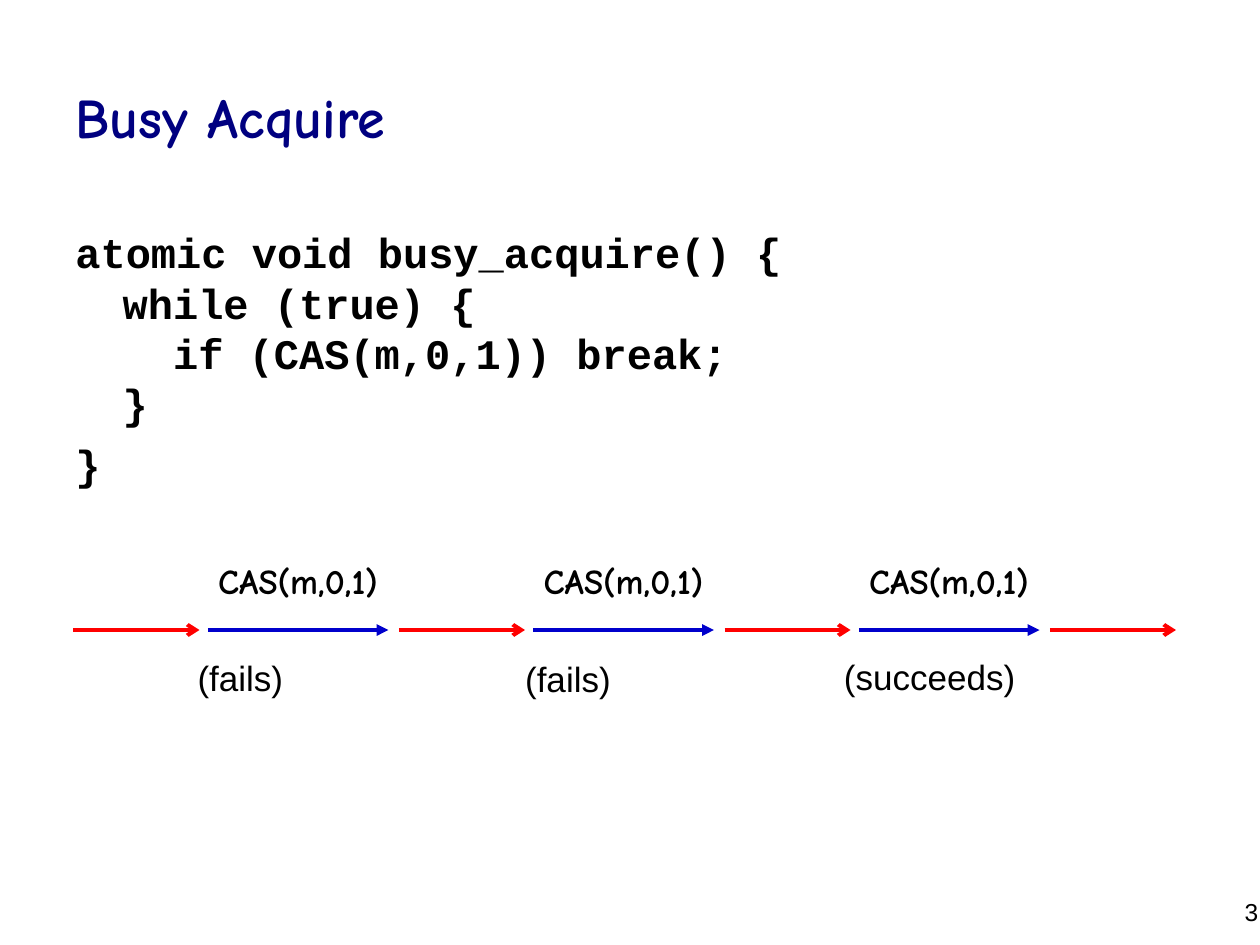
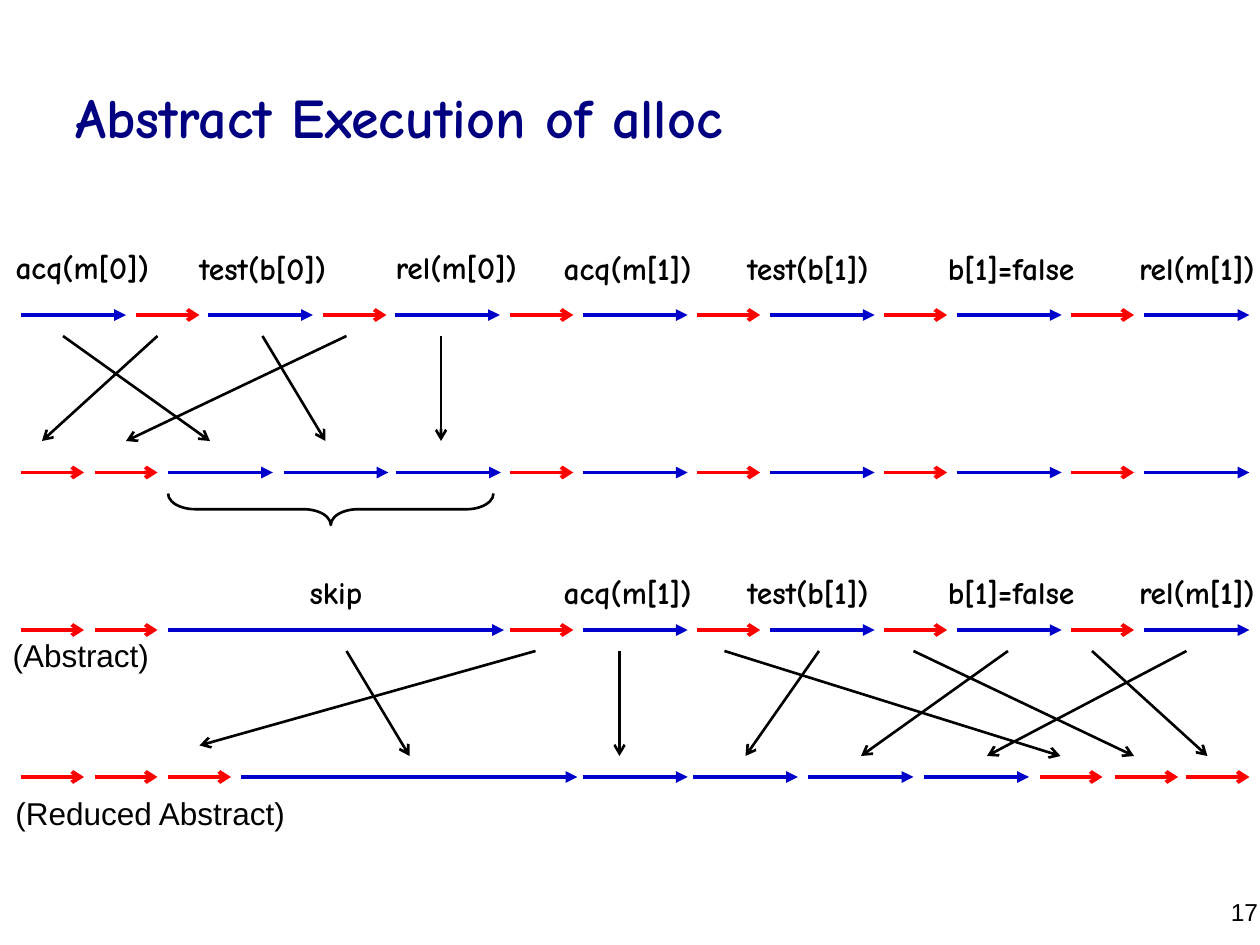
"""Build two slides on busy acquire and the abstract execution of alloc."""
from dataclasses import dataclass

from lxml.etree import SubElement
from pptx import Presentation
from pptx.dml.color import RGBColor
from pptx.enum.shapes import MSO_CONNECTOR, MSO_SHAPE
from pptx.enum.text import MSO_ANCHOR, MSO_AUTO_SIZE, PP_ALIGN
from pptx.oxml.ns import qn
from pptx.util import Pt

SCALE = 7620


@dataclass(frozen=True)
class Theme:
    navy: str = "000080"
    blue: str = "0000CC"
    red: str = "FF0000"
    black: str = "000000"
    comic: str = "Comic Neue"
    plain: str = "Arial"
    mono: str = "Courier New"
    title: int = 32
    code: int = 24
    large: int = 20
    small: int = 18
    foot: int = 14
    thick: float = 2.25
    thin: float = 1.5


class Deck:
    def __init__(self, theme):
        self.theme = theme
        self.prs = Presentation()
        self.prs.slide_width = 1200 * SCALE
        self.prs.slide_height = 900 * SCALE
        self.slide = None

    def page(self, title, number):
        t = self.theme
        self.slide = self.prs.slides.add_slide(self.prs.slide_layouts[6])
        frame = self.frame(60, 36, 1080, 150, MSO_ANCHOR.MIDDLE)
        self.run(frame.paragraphs[0], title, t.title, t.comic, t.navy, True)
        para = self.frame(930, 848, 280, 62).paragraphs[0]
        para.alignment = PP_ALIGN.RIGHT
        self.run(para, str(number), t.foot, t.plain)

    def frame(self, x, y, w, h, anchor=MSO_ANCHOR.TOP, wrap=True):
        box = self.slide.shapes.add_textbox(*(n * SCALE for n in (x, y, w, h)))
        frame = box.text_frame
        frame.word_wrap = wrap
        frame.vertical_anchor = anchor
        if not wrap:
            frame.auto_size = MSO_AUTO_SIZE.SHAPE_TO_FIT_TEXT
        return frame

    def run(self, para, text, size, face, color=None, bold=False):
        run = para.add_run()
        run.text = text
        font = run.font
        font.size, font.name, font.bold = Pt(size), face, bold
        font.color.rgb = RGBColor.from_string(color or self.theme.black)

    def label(self, text, x, y, w, size):
        para = self.frame(x, y, w, size * 8 // 3, wrap=False).paragraphs[0]
        self.run(para, text, size, self.theme.comic, bold=True)

    def note(self, text, x, y, w, size):
        frame = self.frame(x, y, w, size * 8 // 3, MSO_ANCHOR.MIDDLE, False)
        para = frame.paragraphs[0]
        para.alignment = PP_ALIGN.CENTER
        self.run(para, text, size, self.theme.plain)

    def code(self, blocks, x, y, w, h):
        t = self.theme
        frame = self.frame(x, y, w, h)
        for i, lines in enumerate(blocks):
            para = frame.add_paragraph() if i else frame.paragraphs[0]
            props = para._p.get_or_add_pPr()
            props.set("marL", str(45 * SCALE))
            props.set("indent", str(-45 * SCALE))
            if i:
                para.space_before = Pt(6)
            for j, line in enumerate(lines):
                if j:
                    para.add_line_break()
                self.run(para, line, t.code, t.mono, bold=True)

    def arrow(self, start, end, color, width, head):
        ends = (n * SCALE for n in (*start, *end))
        line = self.slide.shapes.add_connector(MSO_CONNECTOR.STRAIGHT, *ends)
        line.line.color.rgb = RGBColor.from_string(color)
        line.line.width = Pt(width)
        props = line._element.spPr
        SubElement(props.find(qn("a:ln")), qn("a:tailEnd"), type=head)
        SubElement(props, qn("a:effectLst"))

    def action(self, x, y, w=100):
        self.arrow((x, y), (x + w, y), self.theme.blue, self.theme.thick, "triangle")

    def other(self, x, y, w=60):
        self.arrow((x, y), (x + w, y), self.theme.red, self.theme.thick, "arrow")

    def move(self, x, y, to, end):
        self.arrow((x, y), (to, end), self.theme.black, self.theme.thin, "arrow")

    def brace(self, x, y, w, h):
        left, top = x + (w - h) // 2, y + (h - w) // 2
        sides = (n * SCALE for n in (left, top, h, w))
        shape = self.slide.shapes.add_shape(MSO_SHAPE.RIGHT_BRACE, *sides)
        shape.rotation = 90
        shape.adjustments[0] = 0.86
        shape.shadow.inherit = False
        shape.fill.background()
        shape.line.color.rgb = RGBColor.from_string(self.theme.black)
        shape.line.width = Pt(self.theme.thin)

    def trace(self, y, first=0):
        for k in range(first, 7):
            self.action(20 + 1070 * k // 6, y)
        for k in range(max(first - 1, 0), 6):
            self.other(130 + 178 * k, y)


def busy(deck):
    large = deck.theme.large
    deck.page("Busy Acquire", 3)
    deck.code([["atomic void busy_acquire() {", "while (true) {",
                "  if (CAS(m,0,1)) break;", "}"], ["}"]], 60, 210, 1080, 594)
    for k in range(4):
        deck.other(70 + 310 * k, 600, 120)
    for k in range(3):
        deck.action(198 + 310 * k, 600, 172)
        deck.label("CAS(m,0,1)", 196 + 310 * k, 527, 180, large)
    for text, x, y, w in (("(fails)", 176, 619, 106), ("(fails)", 488, 620, 106),
                          ("(succeeds)", 792, 618, 187)):
        deck.note(text, x, y, w, large)


def alloc(deck):
    small = deck.theme.small
    deck.page("Abstract Execution of alloc", 17)
    early = (("acq(m[0])", 3, 230, 156), ("test(b[0])", 178, 231, 150),
             ("rel(m[0])", 365, 230, 145))
    late = (("acq(m[1])", 525, 150), ("test(b[1])", 700, 145),
            ("b[1]=false", 891, 150), ("rel(m[1])", 1073, 139))
    for text, x, y, w in early:
        deck.label(text, x, y, w, small)
    for text, x, w in late:
        for y in (231, 540):
            deck.label(text, x, y, w, small)
    deck.label("skip", 283, 540, 78, small)

    deck.trace(300)
    deck.trace(450, 3)
    deck.trace(600, 3)
    for y, count in ((450, 2), (600, 2), (740, 3)):
        for k in range(count):
            deck.other(20 + 70 * k, y)
    for x in (160, 270, 377):
        deck.action(x, 450)
    deck.action(160, 600, 320)
    deck.action(230, 740, 320)
    for x in (555, 660, 770, 880):
        deck.action(x, 740)
    for x in (990, 1062, 1130):
        deck.other(x, 740)

    for x, to in ((60, 200), (150, 40), (250, 310), (330, 120), (420, 420)):
        deck.move(x, 320, to, 420)
    deck.move(510, 620, 190, 710)
    for x, to in ((330, 390), (590, 590), (690, 1010), (780, 710),
                  (870, 1080), (960, 820), (1040, 1150), (1130, 940)):
        deck.move(x, 620, to, 720)
    deck.brace(160, 470, 310, 30)
    deck.note("(Abstract)", 0, 600, 154, small)
    deck.note("(Reduced Abstract)", 2, 750, 282, small)


def main():
    deck = Deck(Theme())
    busy(deck)
    alloc(deck)
    deck.prs.save("out.pptx")


if __name__ == "__main__":
    main()
